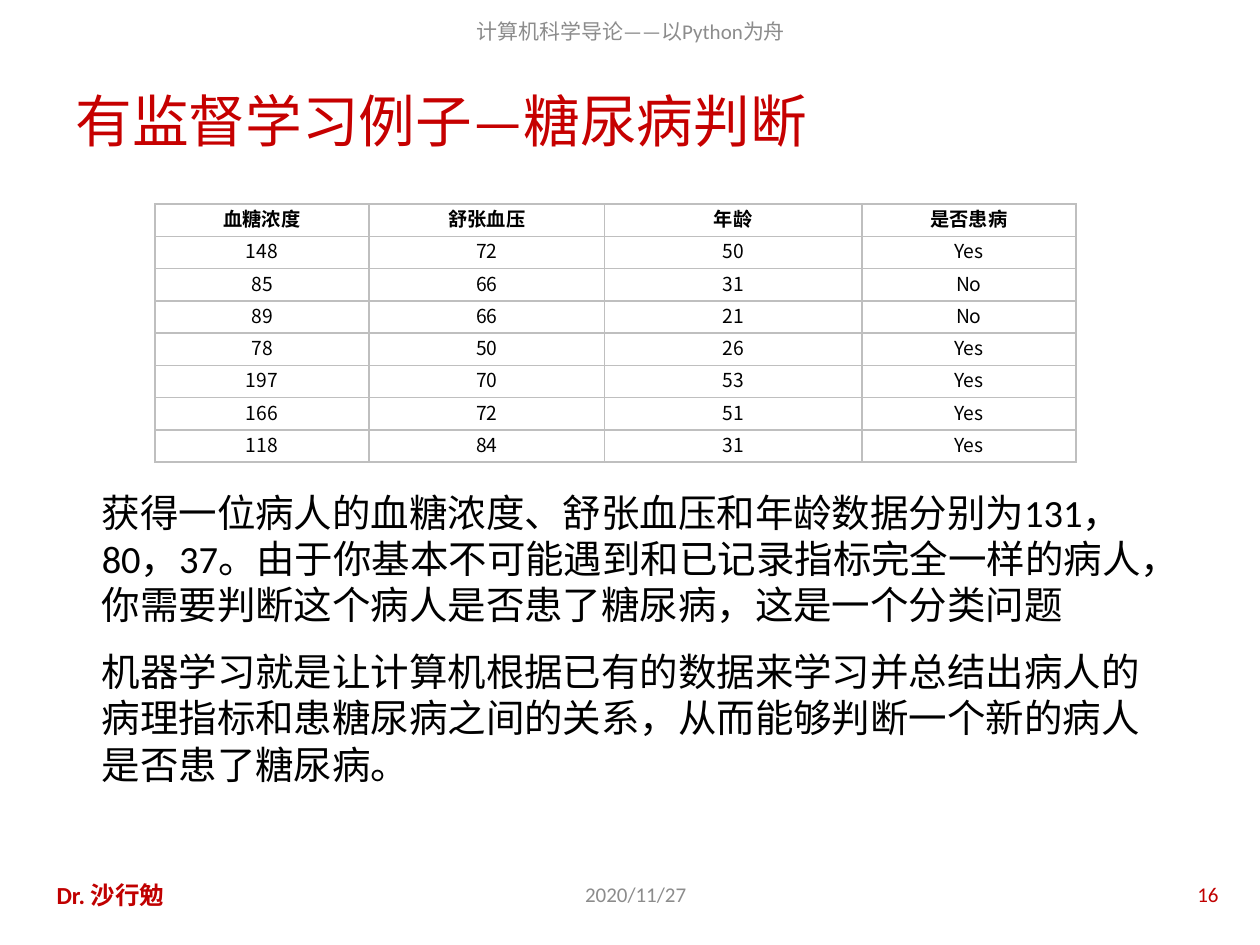
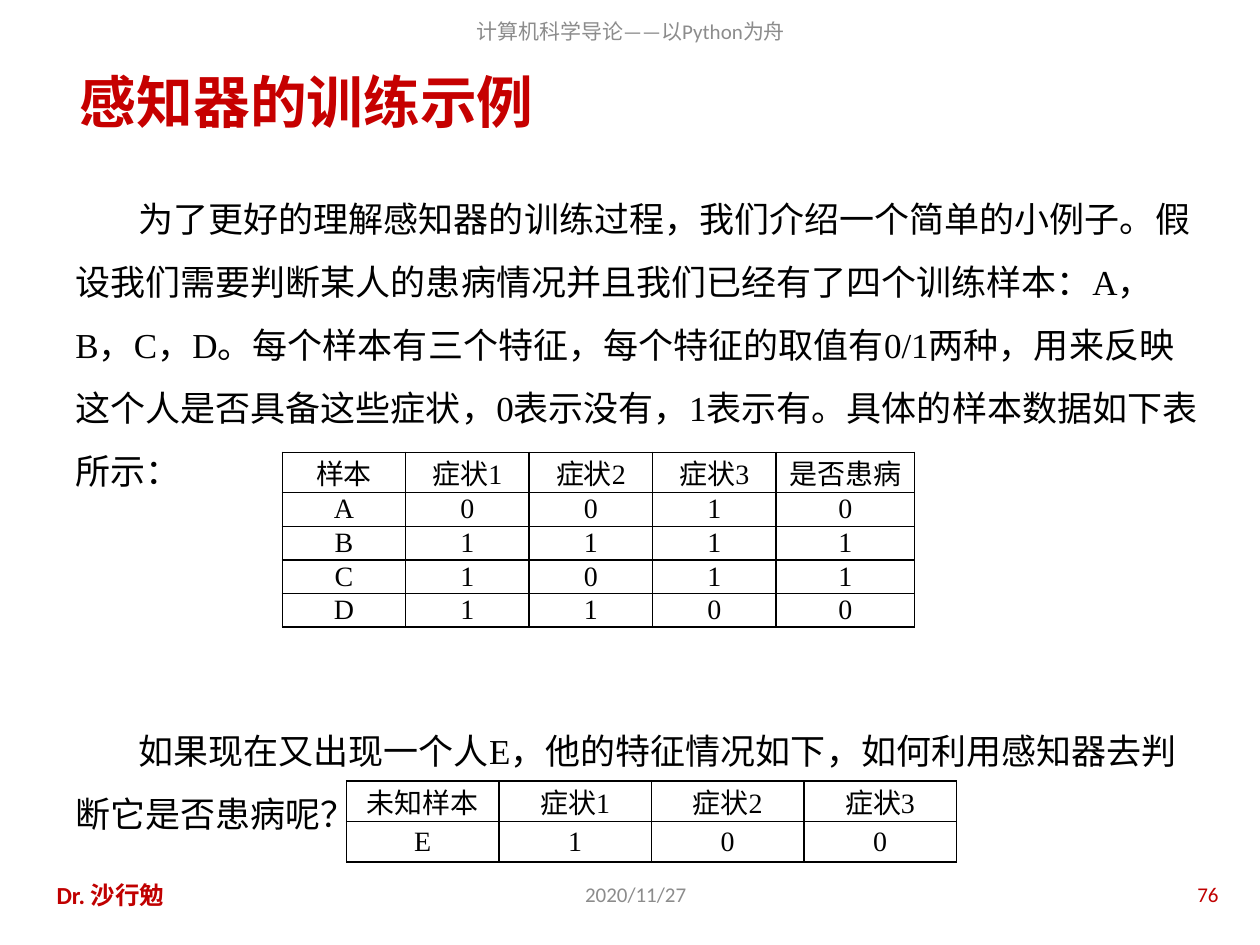
from lxml.etree import SubElement
from pptx import Presentation
from pptx.dml.color import RGBColor
from pptx.enum.text import MSO_ANCHOR as Anchor, PP_ALIGN as Align
from pptx.oxml.ns import qn
from pptx.util import Inches, Pt

RED = "C60000"
DARK_RED = "C00000"
GRAY = "8C8C8C"
SILVER = "BFBFBF"
BLACK = "000000"
SANS = "Calibri"
SERIF = "Times New Roman"
HAN = "Noto Sans CJK SC"


def color(code):
    """Turn a hex string into a colour."""
    return RGBColor.from_string(code)


def write(frame, *texts, size=12, font=SANS, han=SANS, ink=BLACK, bold=False,
          align=Align.LEFT, gap=0, line=None, indent=0):
    """Fill a text frame with paragraphs in one format."""
    for i, text in enumerate(texts):
        para = frame.add_paragraph() if i else frame.paragraphs[0]
        para.alignment = align
        if line:
            para.line_spacing = Pt(line)
        if i and gap:
            para.space_before = Pt(gap)
        if indent:
            para._p.get_or_add_pPr().set("indent", str(Inches(indent)))
        run = para.add_run()
        run.text = text
        run.font.size = Pt(size)
        run.font.bold = bold
        run.font.color.rgb = color(ink)
        run.font.name = font
        props = run._r.get_or_add_rPr()
        props.set("lang", "zh-CN")
        SubElement(props, qn("a:ea")).set("typeface", han)


def add_text(slide, box, *texts, anchor=Anchor.MIDDLE, **style):
    """Add a wrapped text box."""
    frame = slide.shapes.add_textbox(*map(Inches, box)).text_frame
    frame.word_wrap = True
    frame.vertical_anchor = anchor
    write(frame, *texts, **style)


def add_title(slide, box, text, **style):
    """Add a slide title."""
    add_text(slide, box, text, size=32.4, ink=RED, **style)


def add_border(cell, code):
    """Draw a one-point line on all sides of a cell."""
    props = cell._tc.get_or_add_tcPr()
    for i, side in enumerate(("lnL", "lnR", "lnT", "lnB")):
        edge = props.makeelement(qn(f"a:{side}"), {"w": str(Pt(1))})
        fill = SubElement(edge, qn("a:solidFill"))
        SubElement(fill, qn("a:srgbClr")).set("val", code)
        props.insert(i, edge)


def add_grid(slide, spot, widths, heights, rows, edge=BLACK,
             anchor=Anchor.MIDDLE, head=None, **style):
    """Add a plain bordered table, with extra format for its head row."""
    size = sum(widths), sum(heights)
    table = slide.shapes.add_table(len(rows), len(widths),
                                   *map(Inches, spot + size)).table
    table.first_row = table.horz_banding = False
    for col, width in zip(table.columns, widths):
        col.width = Inches(width)
    for r, (row, height) in enumerate(zip(rows, heights)):
        table.rows[r].height = Inches(height)
        look = style if r else {**style, **(head or {})}
        for c, text in enumerate(row):
            cell = table.cell(r, c)
            cell.margin_left = cell.margin_right = Inches(0.07)
            cell.margin_top = cell.margin_bottom = 0
            cell.vertical_anchor = anchor
            cell.fill.background()
            add_border(cell, edge)
            write(cell.text_frame, text, han=HAN, align=Align.CENTER, **look)


def add_page(deck, number):
    """Add a blank slide with the running head and footers."""
    slide = deck.slides.add_slide(deck.slide_layouts[6])
    add_text(slide, (1.54, 0.05, 6.93, 0.39), "计算机科学导论——以Python为舟",
             ink=GRAY, align=Align.CENTER)
    add_text(slide, (3.35, 6.9, 3.39, 0.4), "2020/11/27",
             ink=GRAY, align=Align.CENTER)
    add_text(slide, (0.35, 6.9, 2.21, 0.4), "Dr. 沙行勉",
             size=14, ink=DARK_RED, bold=True)
    add_text(slide, (7.44, 6.9, 2.33, 0.4), str(number),
             ink=DARK_RED, align=Align.RIGHT)
    return slide


def add_case(deck):
    """Build the diabetes example."""
    slide = add_page(deck, 16)
    rows = [
        ("血糖浓度", "舒张血压", "年龄", "是否患病"),
        ("148", "72", "50", "Yes"),
        ("85", "66", "31", "No"),
        ("89", "66", "21", "No"),
        ("78", "50", "26", "Yes"),
        ("197", "70", "53", "Yes"),
        ("166", "72", "51", "Yes"),
        ("118", "84", "31", "Yes"),
    ]
    add_grid(slide, (1.23, 1.62), (1.7, 1.87, 2.04, 1.7),
             [2.05 / len(rows)] * len(rows), rows, edge=SILVER,
             anchor=Anchor.TOP, size=11, font=HAN,
             head={"font": SERIF, "bold": True})
    add_title(slide, (0.5, 0.6, 9, 0.7), "有监督学习例子—糖尿病判断")
    add_text(slide, (0.71, 3.83, 8.54, 2.49),
             "获得一位病人的血糖浓度、舒张血压和年龄数据分别为131，80，37。"
             "由于你基本不可能遇到和已记录指标完全一样的病人，"
             "你需要判断这个病人是否患了糖尿病，这是一个分类问题",
             "机器学习就是让计算机根据已有的数据来学习并总结出病人的病理指标"
             "和患糖尿病之间的关系，从而能够判断一个新的病人是否患了糖尿病。",
             anchor=Anchor.TOP, size=22, gap=12)


def add_demo(deck):
    """Build the perceptron training example."""
    slide = add_page(deck, 76)
    add_title(slide, (0.5, 0.37, 3.87, 0.86), "感知器的训练示例",
              bold=True, align=Align.CENTER)
    add_text(slide, (0.5, 1.35, 9.15, 5.2),
             "为了更好的理解感知器的训练过程，我们介绍一个简单的小例子。"
             "假设我们需要判断某人的患病情况并且我们已经有了四个训练样本："
             "A，B，C，D。每个样本有三个特征，每个特征的取值有0/1两种，"
             "用来反映这个人是否具备这些症状，0表示没有，1表示有。"
             "具体的样本数据如下表所示：",
             "如果现在又出现一个人E，他的特征情况如下，"
             "如何利用感知器去判断它是否患病呢？",
             anchor=Anchor.TOP, size=20, font=SERIF, gap=124, line=36,
             indent=0.5)
    signs = tuple(f"症状{n}" for n in (1, 2, 3))
    known = [("样本", *signs, "是否患病"),
             *("A0010", "B1111", "C1011", "D1100")]
    add_grid(slide, (2.24, 3.59), [0.98] * 4 + [1.1], [0.32] + [0.25] * 4,
             known, size=16, font=SERIF)
    add_grid(slide, (2.75, 6.2), [1.21] * 4, [0.32] * 2,
             [("未知样本", *signs), "E100"], size=16, font=SERIF)


def main():
    """Build and save the deck."""
    deck = Presentation()
    deck.slide_width, deck.slide_height = Inches(10), Inches(7.5)
    add_case(deck)
    add_demo(deck)
    deck.save("out.pptx")


if __name__ == "__main__":
    main()
